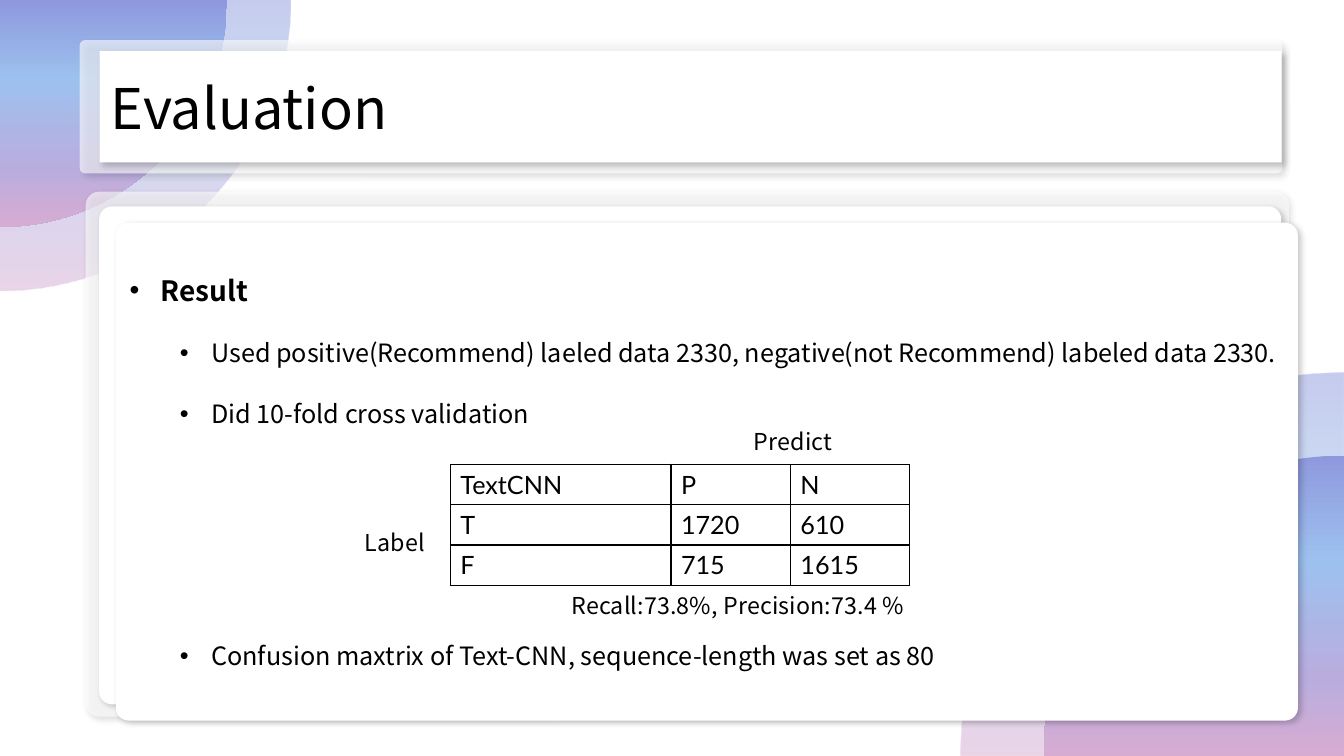
import lxml.etree
import pptx
import pptx.dml.color
import pptx.enum.shapes
import pptx.enum.text
import pptx.oxml
import pptx.oxml.ns
import pptx.util

Cm, Pt = pptx.util.Cm, pptx.util.Pt
qn = pptx.oxml.ns.qn

SLIDE_WIDTH, SLIDE_HEIGHT = 33.87, 19.05
BODY_FONT, TABLE_FONT = "Noto Sans CJK KR", "Lato"
BLACK, WHITE = "000000", "FFFFFF"
GRADIENT = [(0, "8E99DD"), (35, "9DC1EF"), (74, "B9ADDE"), (100, "D7ACD2")]
ARC_HANDLE = 0.55
MATRIX = [["TextCNN", "P", "N"], ["T", "1720", "610"], ["F", "715", "1615"]]
# text, level, size, space before in points
BULLETS = [
    ("Result", 0, 20, 0),
    ("Used positive(Recommend) laeled data 2330, "
     "negative(not Recommend) labeled data 2330.", 1, 18, 21.5),
    ("Did 10-fold cross validation", 1, 18, 21.5),
    ("Confusion maxtrix of Text-CNN, sequence-length was set as 80", 1, 18, 151),
]


def color(value):
    return pptx.dml.color.RGBColor.from_string(value)


def add_element(parent, tag, **attributes):
    element = lxml.etree.SubElement(parent, qn(tag))
    for name, value in attributes.items():
        element.set(name, str(value))
    return element


def add_color(parent, value, opacity):
    element = add_element(parent, "a:srgbClr", val=value)
    if opacity < 100:
        add_element(element, "a:alpha", val=opacity * 1000)


def add_run(paragraph, text, size, font=BODY_FONT, bold=False):
    run = paragraph.add_run()
    run.text = text
    run.font.name, run.font.size, run.font.bold = font, Pt(size), bold
    run.font.color.rgb = color(BLACK)
    add_element(run.font._element, "a:ea", typeface=font)
    return run


def add_quarter_disc(slide, center, radius, direction, opacity):
    """Draw a gradient quarter disc; direction (1 or -1) points into the slide."""
    def place(across, down):
        return (Cm(center[0] + direction * radius * across),
                Cm(center[1] + direction * radius * down))

    builder = slide.shapes.build_freeform(*place(0, 1))
    builder.add_line_segments([place(0, 0), place(1, 0)], close=True)
    disc = builder.convert_to_shape()
    properties = disc._element.spPr
    close = next(properties.iter(qn("a:close")))
    curve = lxml.etree.Element(qn("a:cubicBezTo"))
    for x, y in (place(1, ARC_HANDLE), place(ARC_HANDLE, 1), place(0, 1)):
        add_element(curve, "a:pt", x=x - disc.left, y=y - disc.top)
    close.addprevious(curve)

    disc.line.fill.background()
    disc.shadow.inherit = False
    gradient = pptx.oxml.parse_xml(
        '<a:gradFill xmlns:a="http://schemas.openxmlformats.org/drawingml/2006/main"'
        ' rotWithShape="1"><a:gsLst/><a:lin ang="5400000" scaled="0"/></a:gradFill>')
    for position, value in GRADIENT:
        add_color(add_element(gradient[0], "a:gs", pos=position * 1000), value, opacity)
    properties.find(qn("a:ln")).addprevious(gradient)


def add_corners(slide):
    for center, direction, radii in [((SLIDE_WIDTH, SLIDE_HEIGHT), -1, (9.67, 7.57)),
                                     ((0, 0), 1, (7.31, 5.72))]:
        for radius, opacity in zip(radii, (50, 100)):
            add_quarter_disc(slide, center, radius, direction, opacity)


def style_card(shape, opacity=100):
    shape.fill.solid()
    shape.fill.fore_color.rgb = color(WHITE)
    properties = shape._element.spPr
    if opacity < 100:
        add_element(properties.find(qn("a:solidFill"))[0], "a:alpha", val=opacity * 1000)
    shape.line.fill.background()
    shape.shadow.inherit = False
    shadow = add_element(properties.find(qn("a:effectLst")), "a:outerShdw",
                         blurRad=Pt(4), dist=Pt(3), dir=45 * 60000,
                         algn="tl", rotWithShape=0)
    add_color(shadow, BLACK, 20)


def add_card(slide, box, corner, opacity=100):
    card = slide.shapes.add_shape(pptx.enum.shapes.MSO_SHAPE.ROUNDED_RECTANGLE,
                                  *map(Cm, box))
    card.adjustments[0] = corner
    style_card(card, opacity)
    return card


def add_title(slide, box):
    left, top, width, height = box
    add_card(slide, (left - 0.5, top - 0.28, width + 0.51, height + 0.56), 0.04, 60)
    title = slide.shapes.title
    title.left, title.top, title.width, title.height = map(Cm, box)
    outline = add_element(title._element.spPr, "a:prstGeom", prst="roundRect")
    add_element(add_element(outline, "a:avLst"), "a:gd", name="adj", fmla="val 4000")
    style_card(title)
    slide.shapes._spTree.append(title._element)
    frame = title.text_frame
    frame.margin_left = Cm(0.28)
    frame.vertical_anchor = pptx.enum.text.MSO_ANCHOR.MIDDLE
    frame.auto_size = pptx.enum.text.MSO_AUTO_SIZE.NONE
    paragraph = frame.paragraphs[0]
    paragraph.alignment = pptx.enum.text.PP_ALIGN.LEFT
    add_run(paragraph, "Evaluation", 40)


def add_bullet_card(slide, box):
    left, top, width, height = box
    add_card(slide, (left - 0.76, top - 0.78, width + 0.54, height + 0.68), 0.026, 60)
    add_card(slide, (left - 0.42, top - 0.41, width, height), 0.026)
    frame = add_card(slide, box, 0.026).text_frame
    frame.word_wrap = True
    frame.vertical_anchor = pptx.enum.text.MSO_ANCHOR.TOP
    frame.margin_top = Cm(1.25)
    for index, (text, level, size, space) in enumerate(BULLETS):
        paragraph = frame.add_paragraph() if index else frame.paragraphs[0]
        paragraph.alignment = pptx.enum.text.PP_ALIGN.LEFT
        paragraph.level = level
        paragraph.line_spacing = Pt(22)
        paragraph.space_before = Pt(space)
        properties = paragraph._p.get_or_add_pPr()
        properties.set("marL", str(Cm(0.79 + 1.27 * level)))
        properties.set("indent", str(Cm(-0.79)))
        add_element(properties, "a:buFont", typeface="Arial")
        add_element(properties, "a:buChar", char="•")
        add_run(paragraph, text, size, bold=level == 0)


def add_label(slide, box, text):
    frame = slide.shapes.add_textbox(*map(Cm, box)).text_frame
    frame.word_wrap = True
    paragraph = frame.paragraphs[0]
    paragraph.line_spacing = 0.85
    run = add_run(paragraph, text, 16.6)
    run.font._element.set("spc", "15")


def format_cell(cell, text):
    add_run(cell.text_frame.paragraphs[0], text, 18, TABLE_FONT)
    properties = cell._tc.get_or_add_tcPr()
    for side in ("a:lnL", "a:lnR", "a:lnT", "a:lnB"):
        border = add_element(properties, side, w=Pt(1))
        add_color(add_element(border, "a:solidFill"), BLACK, 100)
    cell.fill.solid()
    cell.fill.fore_color.rgb = color(WHITE)


def add_confusion_matrix(slide, box):
    left, top, width, height = box
    table = slide.shapes.add_table(3, 3, *map(Cm, box)).table
    table.first_row = table.horz_banding = False
    for column, share in zip(table.columns, (0.48, 0.26, 0.26)):
        column.width = Cm(width * share)
    for row, texts in zip(table.rows, MATRIX):
        row.height = Cm(height / 3)
        for cell, text in zip(row.cells, texts):
            format_cell(cell, text)
    add_label(slide, (left - 2.41, top + 1.59, 2.29, 0.89), "Label")
    add_label(slide, (left + 7.4, top - 0.94, 2.79, 0.89), "Predict")
    add_label(slide, (left + 2.8, top + 3.17, 9.25, 0.89),
              "Recall:73.8%, Precision:73.4 %")


def main():
    presentation = pptx.Presentation()
    presentation.slide_width, presentation.slide_height = Cm(SLIDE_WIDTH), Cm(SLIDE_HEIGHT)
    slide = presentation.slides.add_slide(presentation.slide_layouts[5])
    add_corners(slide)
    add_title(slide, (2.51, 1.29, 29.79, 2.8))
    add_bullet_card(slide, (2.92, 5.61, 29.79, 12.55))
    add_confusion_matrix(slide, (11.35, 11.7, 11.58, 3.04))
    presentation.save("out.pptx")


if __name__ == "__main__":
    main()
